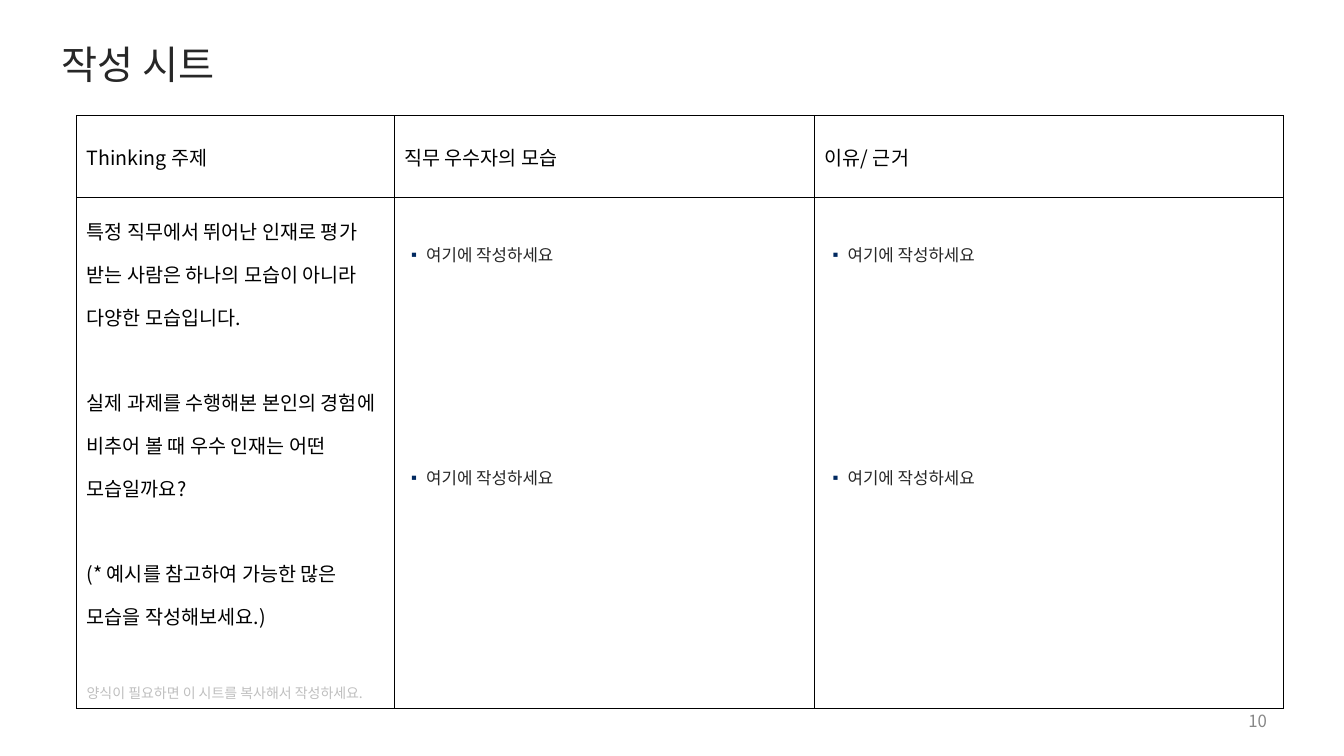
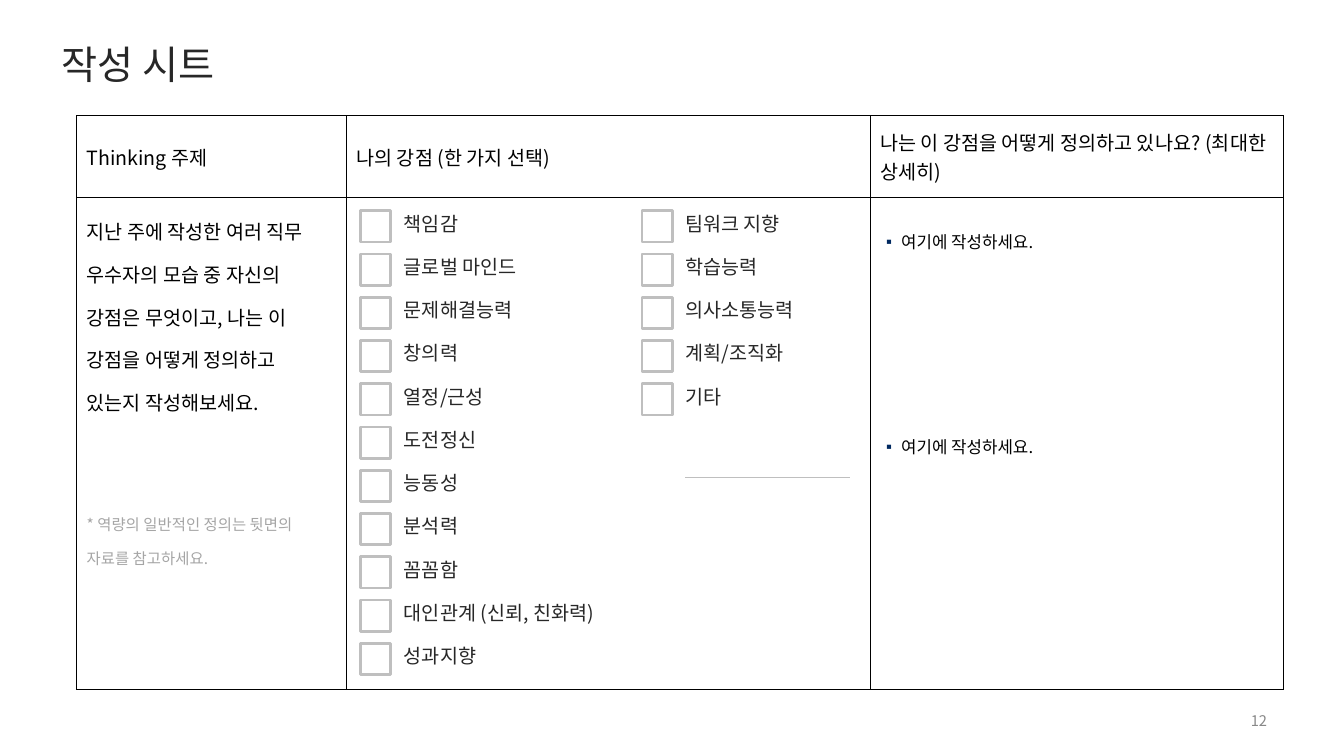
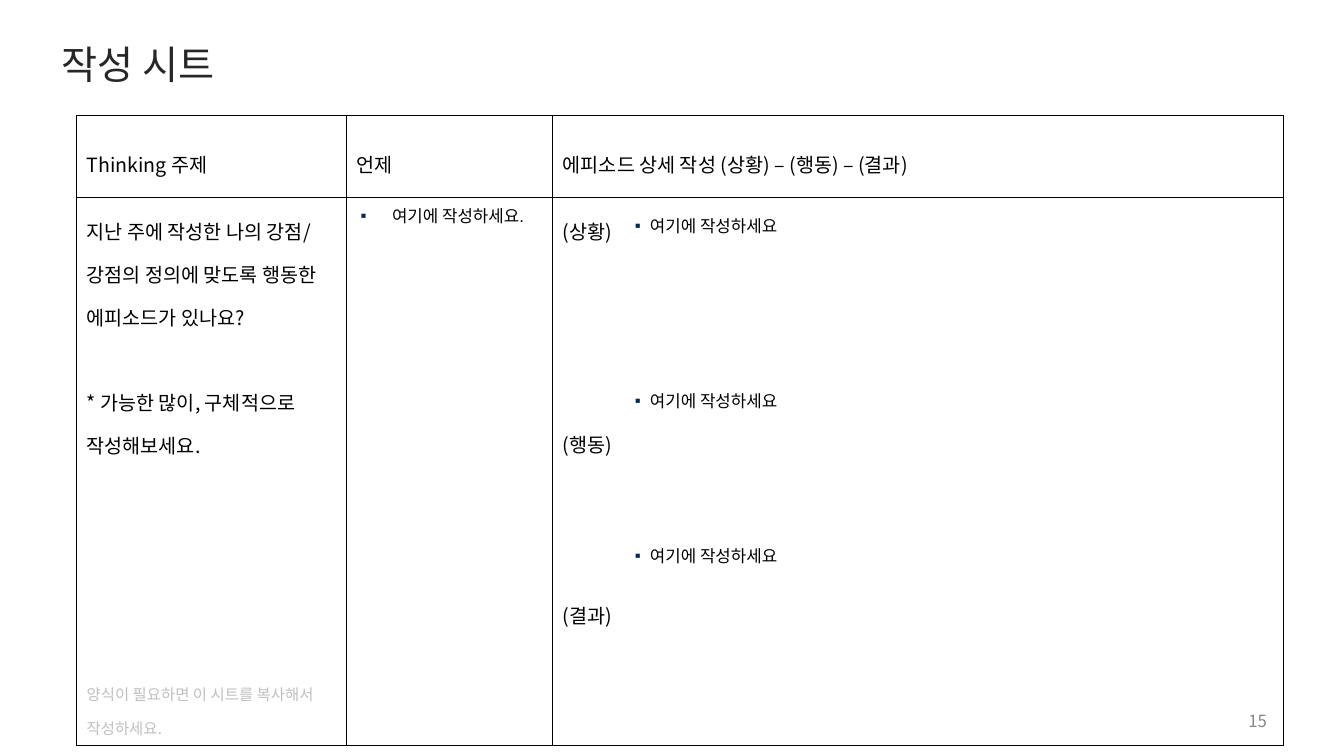
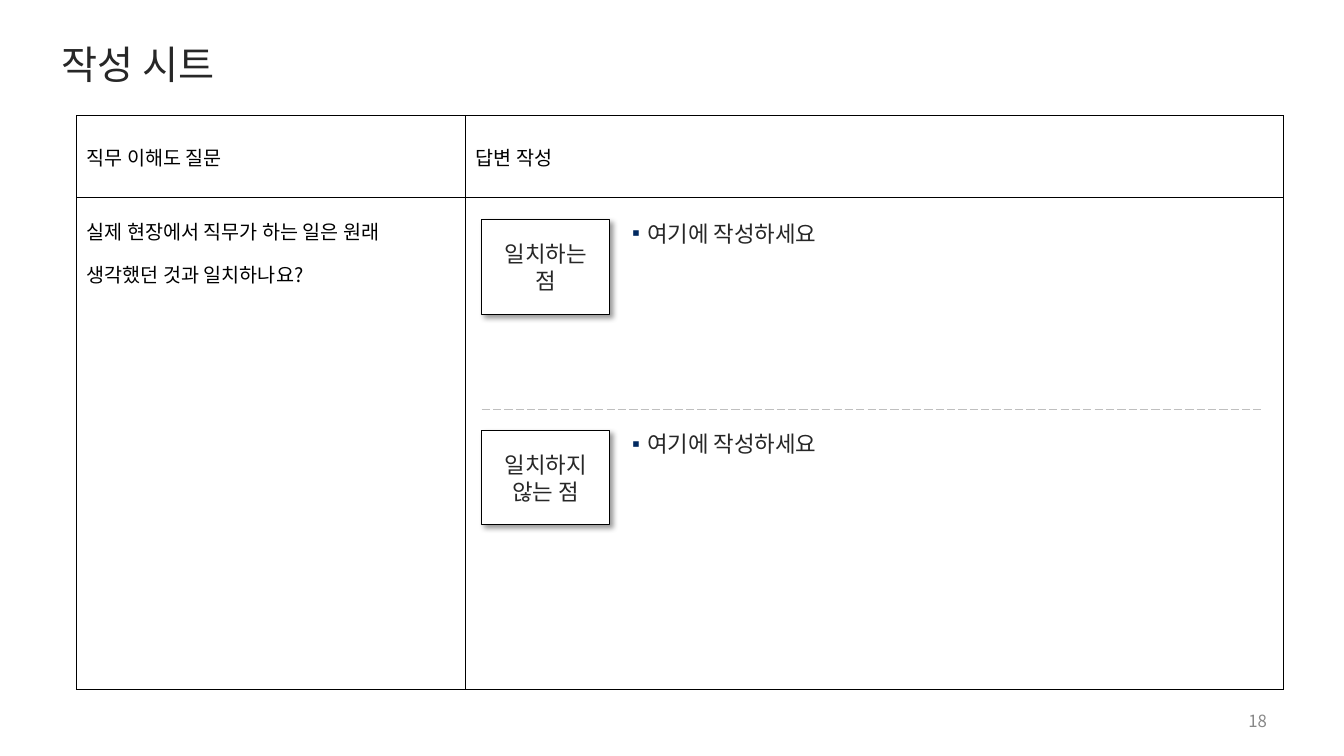
"""Build the four writing sheets of a career workbook."""
import dataclasses

import lxml.etree
import pptx
import pptx.dml.color
import pptx.enum.dml
import pptx.enum.shapes
import pptx.enum.text
import pptx.oxml.ns
import pptx.util

Cm = pptx.util.Cm
Pt = pptx.util.Pt
RGBColor = pptx.dml.color.RGBColor
ALIGN = pptx.enum.text.PP_ALIGN
ANCHOR = pptx.enum.text.MSO_ANCHOR
RECTANGLE = pptx.enum.shapes.MSO_SHAPE.RECTANGLE

BLACK = RGBColor(0x00, 0x00, 0x00)
WHITE = RGBColor(0xFF, 0xFF, 0xFF)
INK = RGBColor(0x27, 0x27, 0x27)
NAVY = RGBColor(0x00, 0x29, 0x60)
PAGE_GRAY = RGBColor(0x88, 0x88, 0x88)
NOTE_GRAY = RGBColor(0xA5, 0xA5, 0xA5)
PALE_GRAY = RGBColor(0xBF, 0xBF, 0xBF)

KOREAN = "Noto Sans CJK KR"
TITLE = "작성 시트"
TOPIC = "Thinking 주제"
PROMPT = "여기에 작성하세요"
COPY_NOTE = "양식이 필요하면 이 시트를 복사해서 작성하세요."

TWO_PROMPTS, FOUR_PROMPTS = 3, 4
LINE_PITCH = 30.4
SHEET_LEFT, SHEET_TOP, SHEET_WIDTH = 1.93, 2.92, 30.41
HEADER_HEIGHT, ANSWER_HEIGHT = 2.05, 12.4


@dataclasses.dataclass
class Line:
    """A paragraph of a cell and the number of line heights left free above it."""
    text: str
    gap: int = 0
    size: float = 14
    color: RGBColor = BLACK


def add_xml(parent, tag, **attributes):
    """Append a drawing element to a parent and return it."""
    return lxml.etree.SubElement(parent, pptx.oxml.ns.qn(tag), attributes)


def add_run(paragraph, text, size, color, font=KOREAN):
    """Add one unkerned run with its Latin and East Asian fonts."""
    run = paragraph.add_run()
    run.text = text
    run.font.size = Pt(size)
    run.font.bold = False
    run.font.color.rgb = color
    run.font.name = font
    run.font._element.set("kern", "0")
    add_xml(run.font._element, "a:ea", typeface=KOREAN)


def clear_margins(frame):
    """Let text start at the top left corner of its frame."""
    frame.margin_left = frame.margin_top = frame.margin_right = frame.margin_bottom = 0
    frame.vertical_anchor = ANCHOR.TOP
    frame.word_wrap = True


def place(shape, left, top, width, height):
    """Move and size a shape, in centimetres."""
    shape.left, shape.top = Cm(left), Cm(top)
    shape.width, shape.height = Cm(width), Cm(height)


def style_layout(layout):
    """Set the place of the title for all slides of a layout."""
    place(layout.placeholders[0], 1.55, 1.02, 30.76, 1.19)
    clear_margins(layout.placeholders[0].text_frame)


def add_sheet(deck, layout_index, number, number_size=12):
    """Add a slide with the shared title and its page number."""
    slide = deck.slides.add_slide(deck.slide_layouts[layout_index])
    heading = slide.shapes.title.text_frame.paragraphs[0]
    heading.alignment = ALIGN.LEFT
    add_run(heading, TITLE, 28, INK)
    page = slide.shapes.add_textbox(Cm(24.28), Cm(17.65), Cm(7.9), Cm(1.02)).text_frame
    page.word_wrap = True
    page.vertical_anchor = ANCHOR.MIDDLE
    page.paragraphs[0].alignment = ALIGN.RIGHT
    add_run(page.paragraphs[0], number, number_size, PAGE_GRAY)
    return slide


def fill_cell(cell, lines, spacing):
    """Outline a cell and write its lines."""
    cell.margin_right = Cm(0.35)
    properties = cell._tc.get_or_add_tcPr()
    for side in ("a:lnL", "a:lnR", "a:lnT", "a:lnB"):
        border = add_xml(properties, side, w=str(Pt(0.75)))
        add_xml(add_xml(border, "a:solidFill"), "a:srgbClr", val=str(BLACK))
    cell.fill.background()
    for index, line in enumerate(lines):
        frame = cell.text_frame
        paragraph = frame.add_paragraph() if index else frame.paragraphs[0]
        paragraph.line_spacing = spacing
        if line.gap:
            paragraph.space_before = Pt(line.gap * LINE_PITCH)
        add_run(paragraph, line.text, line.size, line.color)


def add_grid(slide, widths, headers, answers, header_spacing=1.0,
             answer_height=ANSWER_HEIGHT):
    """Add the sheet table; the last column takes the remaining width."""
    widths = [*widths, SHEET_WIDTH - sum(widths)]
    grid = slide.shapes.add_table(
        2, len(widths), Cm(SHEET_LEFT), Cm(SHEET_TOP), Cm(SHEET_WIDTH),
        Cm(HEADER_HEIGHT + answer_height)).table
    grid.first_row = grid.horz_banding = False
    grid.rows[0].height, grid.rows[1].height = Cm(HEADER_HEIGHT), Cm(answer_height)
    for column, width in enumerate(widths):
        grid.columns[column].width = Cm(width)
        header = grid.cell(0, column)
        fill_cell(header, [Line(headers[column])], header_spacing)
        header.vertical_anchor = ANCHOR.MIDDLE
        fill_cell(grid.cell(1, column), answers.get(column, []), 1.5)


def fill_prompt(prompt, box, text=PROMPT, size=12, color=INK, font=KOREAN,
                spacing=1.0, indent=0.38):
    """Write a bulleted prompt in a body placeholder."""
    place(prompt, *box)
    frame = prompt.text_frame
    clear_margins(frame)
    frame.auto_size = pptx.enum.text.MSO_AUTO_SIZE.SHAPE_TO_FIT_TEXT
    paragraph = frame.paragraphs[0]
    paragraph.line_spacing = spacing
    paragraph.space_before = Pt(0)
    properties = paragraph._p.get_or_add_pPr()
    properties.set("marL", str(Cm(indent)))
    properties.set("indent", str(-Cm(indent)))
    add_xml(add_xml(properties, "a:buClr"), "a:srgbClr", val=str(NAVY))
    add_xml(properties, "a:buChar", char="▪")
    add_run(paragraph, text, size, color, font)


def fill_prompts(slide, boxes, **style):
    """Fill the body placeholders of a slide in order, one for each box."""
    bodies = [body for body in slide.placeholders if body.placeholder_format.idx]
    for body, box in zip(bodies, boxes):
        fill_prompt(body, box, **style)


def add_box(slide, left, top, width, height, line_color, line_width):
    """Add an unfilled rectangle."""
    box = slide.shapes.add_shape(RECTANGLE, Cm(left), Cm(top), Cm(width), Cm(height))
    box.shadow.inherit = False
    box.fill.background()
    box.line.color.rgb = line_color
    box.line.width = Pt(line_width)
    return box


def add_checklist(slide, left, label_width, strengths):
    """Add a column of check boxes with their labels."""
    for row, strength in enumerate(strengths):
        top = 5.31 + row * 1.09
        add_box(slide, left, top, 0.76, 0.79, PALE_GRAY, 2)
        label = slide.shapes.add_textbox(
            Cm(left + 1.09), Cm(top + 0.02), Cm(label_width), Cm(0.6)).text_frame
        clear_margins(label)
        add_run(label.paragraphs[0], strength, 14, INK)


def add_rule(slide, left, right, top):
    """Add a thin horizontal line."""
    rule = slide.shapes.add_connector(
        pptx.enum.shapes.MSO_CONNECTOR.STRAIGHT, Cm(left), Cm(top), Cm(right), Cm(top))
    rule.line.color.rgb = PALE_GRAY
    rule.line.width = Pt(0.75)
    add_xml(rule._element.spPr, "a:effectLst")
    return rule


def add_card(slide, top, lines):
    """Add a white card with a soft shadow and centred text."""
    card = add_box(slide, 12.14, top, 3.23, 2.38, BLACK, 0.75)
    card.fill.solid()
    card.fill.fore_color.rgb = WHITE
    effects = card._element.spPr.find(pptx.oxml.ns.qn("a:effectLst"))
    shadow = add_xml(effects, "a:outerShdw", blurRad=str(Pt(4)), dist=str(Pt(3)),
                     dir="2700000", algn="tl", rotWithShape="0")
    add_xml(add_xml(shadow, "a:srgbClr", val=str(BLACK)), "a:alpha", val="40000")
    frame = card.text_frame
    frame.word_wrap = True
    frame.margin_left = frame.margin_right = Cm(0.4)
    frame.vertical_anchor = ANCHOR.MIDDLE
    paragraph = frame.paragraphs[0]
    paragraph.alignment = ALIGN.CENTER
    for index, line in enumerate(lines):
        if index:
            paragraph.add_line_break()
        add_run(paragraph, line, 16, INK)


def build_role_models(deck):
    """Sheet on what excellent performers look like."""
    slide = add_sheet(deck, FOUR_PROMPTS, "10")
    add_grid(slide, [8, 10.6], [TOPIC, "직무 우수자의 모습", "이유/ 근거"], {0: [
        Line("특정 직무에서 뛰어난 인재로 평가 받는 사람은 하나의 모습이 아니라 다양한 모습입니다."),
        Line("실제 과제를 수행해본 본인의 경험에 비추어 볼 때 우수 인재는 어떤 모습일까요?", 1),
        Line("(* 예시를 참고하여 가능한 많은 모습을 작성해보세요.)", 1),
        Line(COPY_NOTE, 1, 10, PALE_GRAY)]}, answer_height=12.88)
    fill_prompts(slide, [(left, top, width, 0.76) for top in (5.92, 11.54)
                         for left, width in ((10.36, 9.6), (20.98, 11.2))], spacing=1.5)


def build_strengths(deck):
    """Sheet for choosing and defining one strength."""
    slide = add_sheet(deck, TWO_PROMPTS, "12", 10.5)
    headers = [TOPIC, "나의 강점 (한 가지 선택)", "나는 이 강점을 어떻게 정의하고 있나요? (최대한 상세히)"]
    add_grid(slide, [6.8, 13.2], headers, {0: [
        Line("지난 주에 작성한 여러 직무 우수자의 모습 중 자신의 강점은 무엇이고, "
             "나는 이 강점을 어떻게 정의하고 있는지 작성해보세요."),
        Line("* 역량의 일반적인 정의는 뒷면의 자료를 참고하세요.", 2, 11, NOTE_GRAY)]})
    add_checklist(slide, 9.09, 6.35, [
        "책임감", "글로벌 마인드", "문제해결능력", "창의력", "열정/근성", "도전정신",
        "능동성", "분석력", "꼼꼼함", "대인관계 (신뢰, 친화력)", "성과지향"])
    add_checklist(slide, 16.18, 3.78, [
        "팀워크 지향", "학습능력", "의사소통능력", "계획/조직화", "기타"])
    add_rule(slide, 17.27, 21.41, 12.04)
    fill_prompts(slide, [(22.33, top, 9.6, 0.51) for top in (5.84, 11)],
                 text=PROMPT + ".", color=BLACK)


def build_episodes(deck):
    """Sheet for telling an episode that shows the strength."""
    slide = add_sheet(deck, FOUR_PROMPTS, "15")
    headers = [TOPIC, "언제", "에피소드 상세 작성 (상황) – (행동) – (결과)"]
    add_grid(slide, [6.8, 5.2], headers, {
        0: [Line("지난 주에 작성한 나의 강점/ 강점의 정의에 맞도록 행동한 에피소드가 있나요?"),
            Line("* 가능한 많이, 구체적으로 작성해보세요.", 1),
            Line(COPY_NOTE, 5, 11, PALE_GRAY)],
        2: [Line("(상황)"), Line("(행동)", 4), Line("(결과)", 3)]}, 1.5, 13.81)
    when, *stages = [body for body in slide.placeholders if body.placeholder_format.idx]
    fill_prompt(when, (9.09, 5.18, 4.45, 1.7), PROMPT + ".", color=BLACK, font="Arial",
                indent=0.79)
    for stage, top in zip(stages, (5.18, 9.6, 13.49)):
        fill_prompt(stage, (16, top, 15.34, 0.76), color=BLACK, font="Arial", spacing=1.5)


def build_expectations(deck):
    """Sheet comparing the real job with what was expected."""
    slide = add_sheet(deck, TWO_PROMPTS, "18")
    add_grid(slide, [9.8], ["직무 이해도 질문", "답변 작성"], {
        0: [Line("실제 현장에서 직무가 하는 일은 원래 생각했던 것과 일치하나요?")]})
    tops = (5.54, 10.85)
    for top, lines in zip(tops, (["일치하는 점"], ["일치하지", "않는 점"])):
        add_card(slide, top, lines)
    fill_prompts(slide, [(15.93, top, 15.39, 0.69) for top in tops], size=16)
    divider = add_rule(slide, 12.14, 31.78, 10.31)
    divider.line.dash_style = pptx.enum.dml.MSO_LINE.LONG_DASH


def main():
    """Build and save the deck."""
    deck = pptx.Presentation()
    deck.slide_width, deck.slide_height = Cm(33.87), Cm(19.05)
    for layout_index in (TWO_PROMPTS, FOUR_PROMPTS):
        style_layout(deck.slide_layouts[layout_index])
    build_role_models(deck)
    build_strengths(deck)
    build_episodes(deck)
    build_expectations(deck)
    deck.save("out.pptx")


if __name__ == "__main__":
    main()
